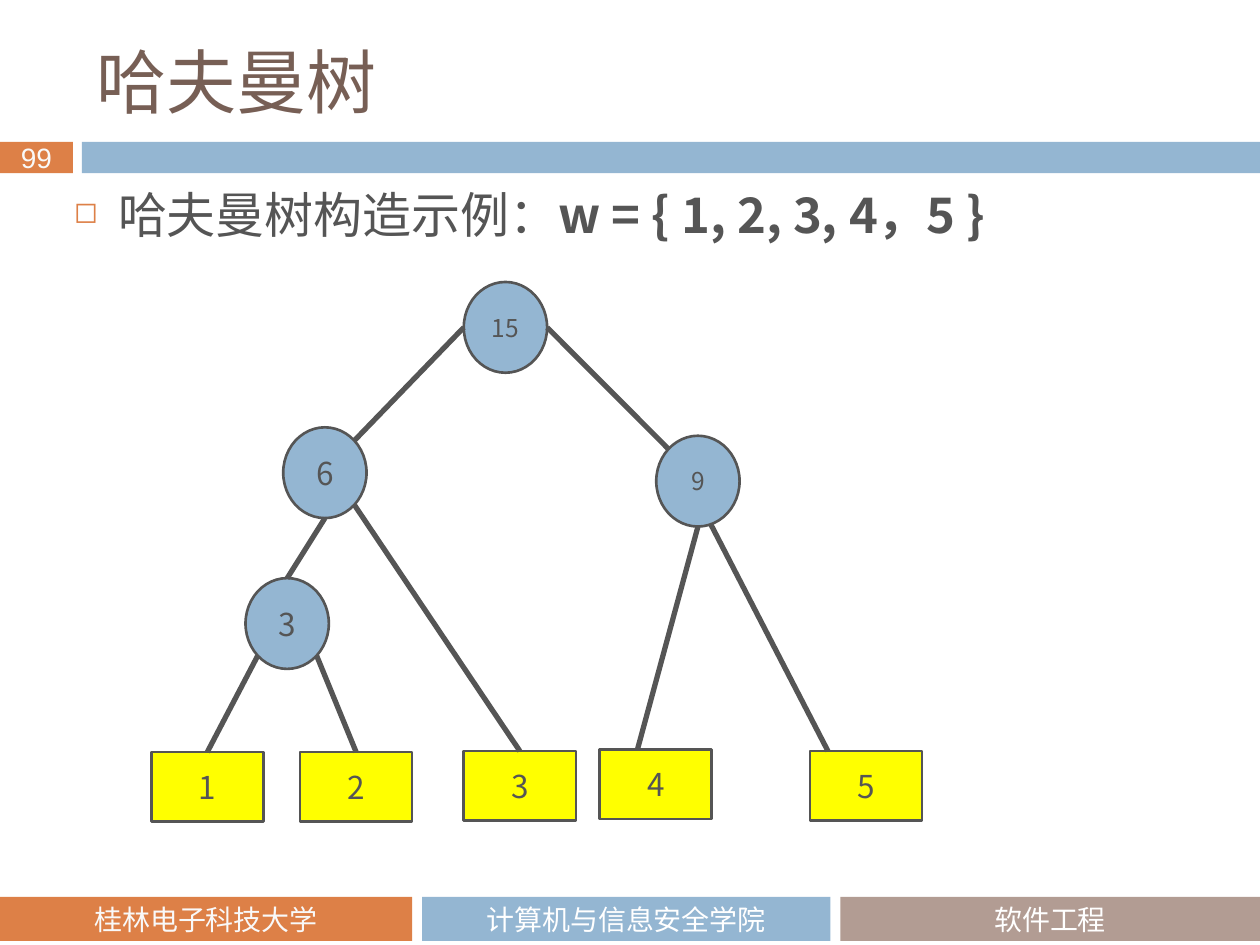
from dataclasses import dataclass
from math import cos, radians, sin

from lxml.etree import SubElement
from pptx import Presentation
from pptx.dml.color import RGBColor
from pptx.enum.shapes import MSO_CONNECTOR, MSO_SHAPE
from pptx.enum.text import MSO_ANCHOR, PP_ALIGN
from pptx.oxml.ns import qn
from pptx.util import Cm, Pt


@dataclass(frozen=True)
class Theme:
    orange: str = "DD8047"
    blue: str = "94B6D2"
    taupe: str = "B29C93"
    brown: str = "775F55"
    ink: str = "555555"
    yellow: str = "FFFF00"
    white: str = "FFFFFF"
    pale: str = "F9F9F9"
    title_size: int = 40
    body_size: int = 28
    node_size: int = 18
    small_node_size: int = 14
    bar_size: int = 16
    title_font: str = "Noto Sans CJK JP"
    body_font: str = "Noto Sans CJK SC"
    footer_font: str = "Calibri"
    number_font: str = "Arial"


THEME = Theme()
CIRCLE_SIZE = (1.68, 1.83)
LEAF_SIZE = (2.26, 1.4)


def add_span(para, text, font, size, color, bold=False):
    span = para.add_run()
    span.text = text
    span.font.name = font
    span.font.size = Pt(size)
    span.font.bold = bold
    span.font.color.rgb = RGBColor.from_string(color)
    if font.startswith("Noto"):
        SubElement(span.font._element, qn("a:ea"), typeface=font)


def add_block(page, kind, box, fill, line=None):
    block = page.shapes.add_shape(kind, *(Cm(value) for value in box))
    block.shadow.inherit = False
    block.fill.solid()
    block.fill.fore_color.rgb = RGBColor.from_string(fill)
    if line:
        block.line.color.rgb = RGBColor.from_string(line)
        block.line.width = Pt(1.5)
    else:
        block.line.fill.background()
    return block


def add_label(block, text, font, size, color):
    frame = block.text_frame
    frame.margin_left = frame.margin_right = 0
    frame.margin_top = frame.margin_bottom = 0
    frame.vertical_anchor = MSO_ANCHOR.MIDDLE
    frame.word_wrap = True
    para = frame.paragraphs[0]
    para.alignment = PP_ALIGN.CENTER
    add_span(para, text, font, size, color)


def add_header_band(page, left, top, width, height):
    number_width, gap = 1.47, 0.18
    number = add_block(page, MSO_SHAPE.RECTANGLE,
                       (left, top, number_width, height), THEME.orange)
    add_label(number, "99", THEME.number_font, THEME.bar_size, THEME.pale)
    start = number_width + gap
    add_block(page, MSO_SHAPE.RECTANGLE,
              (left + start, top, width - start, height), THEME.blue)


def add_footer(page, left, top, width, height):
    gap = 0.2
    parts = [("桂林电子科技大学", 8.31, THEME.orange, THEME.pale),
             ("计算机与信息安全学院", 8.23, THEME.blue, THEME.white),
             ("软件工程", width - 8.31 - 8.23 - 2 * gap, THEME.taupe, THEME.white)]
    for text, part_width, fill, color in parts:
        part = add_block(page, MSO_SHAPE.RECTANGLE,
                         (left, top, part_width, height), fill)
        add_label(part, text, THEME.footer_font, THEME.bar_size, color)
        left += part_width + gap


def add_title(page, left, top, width, height):
    title = page.shapes.title
    title.left, title.top, title.width, title.height = (
        Cm(left), Cm(top), Cm(width), Cm(height))
    title.text_frame.vertical_anchor = MSO_ANCHOR.MIDDLE
    para = title.text_frame.paragraphs[0]
    para.alignment = PP_ALIGN.LEFT
    add_span(para, "哈夫曼树", THEME.title_font, THEME.title_size, THEME.brown)


def add_example(page, left, top, width, height):
    box = page.shapes.add_textbox(Cm(left), Cm(top), Cm(width), Cm(height))
    box.text_frame.word_wrap = True
    para = box.text_frame.paragraphs[0]
    para.line_spacing = Pt(30)
    # Hollow square bullet with a hanging indent
    properties = para._p.get_or_add_pPr()
    properties.set("marL", str(Cm(0.89)))
    properties.set("indent", str(-Cm(0.89)))
    bullet_color = SubElement(properties, qn("a:buClr"))
    SubElement(bullet_color, qn("a:srgbClr"), val=THEME.orange)
    SubElement(properties, qn("a:buSzPct"), val="60000")
    SubElement(properties, qn("a:buChar"), char="◻")
    for text, bold in [("哈夫曼树构造示例：", False), ("w = { 1, 2, 3, 4，5 }", True)]:
        add_span(para, text, THEME.body_font, THEME.body_size, THEME.ink, bold)


def rim_point(center, angle):
    """Point on a circle node's outline, clockwise from the right."""
    turn = radians(angle)
    return (center[0] + CIRCLE_SIZE[0] / 2 * cos(turn),
            center[1] + CIRCLE_SIZE[1] / 2 * sin(turn))


def add_edge(page, start, end):
    edge = page.shapes.add_connector(
        MSO_CONNECTOR.STRAIGHT, *(Cm(value) for value in (*start, *end)))
    edge.line.color.rgb = RGBColor.from_string(THEME.ink)
    edge.line.width = Pt(3)
    SubElement(edge._element.spPr, qn("a:effectLst"))
    return edge


def add_node(page, kind, center, size, fill, text, text_size):
    width, height = size
    box = (center[0] - width / 2, center[1] - height / 2, width, height)
    node = add_block(page, kind, box, fill, THEME.ink)
    add_label(node, text, THEME.body_font, text_size, THEME.ink)
    return node


def add_tree(page, left, top):
    # Weight, centre within the region, text size
    circles = [("15", 7.14, 0.91, THEME.small_node_size),
               ("6", 3.5, 3.84, THEME.node_size),
               ("9", 11.02, 4.01, THEME.small_node_size),
               ("3", 2.74, 6.88, THEME.node_size)]
    leaves = [("1", 1.13, 10.17), ("2", 4.13, 10.17), ("3", 7.43, 10.15),
              ("4", 10.17, 10.12), ("5", 14.41, 10.15)]
    circle_centers, leaf_centers, leaf_nodes = {}, {}, {}
    for text, x, y, size in circles:
        circle_centers[text] = (left + x, top + y)
        add_node(page, MSO_SHAPE.OVAL, circle_centers[text], CIRCLE_SIZE,
                 THEME.blue, text, size)
    for text, x, y in leaves:
        leaf_centers[text] = (left + x, top + y)
        leaf_nodes[text] = add_node(page, MSO_SHAPE.RECTANGLE, leaf_centers[text],
                                    LEAF_SIZE, THEME.yellow, text, THEME.node_size)

    # Circle to circle: parent, leaving angle, child, arriving angle
    for parent, leaving, child, arriving in [
            ("15", 180, "6", -45), ("15", 0, "9", -135), ("6", 90, "3", -90)]:
        add_edge(page, rim_point(circle_centers[parent], leaving),
                 rim_point(circle_centers[child], arriving))

    # Circle to leaf: parent, leaving angle, leaf, shift from the top middle
    for parent, leaving, leaf, shift in [
            ("3", 135, "1", 0), ("3", 45, "2", 0), ("6", 45, "3", 0),
            ("9", 90, "4", -0.37), ("9", 72, "5", -0.77)]:
        x, y = leaf_centers[leaf]
        edge = add_edge(page, rim_point(circle_centers[parent], leaving),
                        (x + shift, y - LEAF_SIZE[1] / 2))
        if shift == 0:
            edge.end_connect(leaf_nodes[leaf], 0)


def main():
    deck = Presentation()
    deck.slide_width, deck.slide_height = Cm(25.4), Cm(19.05)
    page = deck.slides.add_slide(deck.slide_layouts[5])
    add_header_band(page, 0, 2.86, 25.4, 0.63)
    add_footer(page, 0, 18.08, 25.4, 0.89)
    add_title(page, 1.7, 0.64, 22.66, 1.98)
    add_example(page, 1.24, 3.73, 22.66, 1.47)
    add_tree(page, 3.05, 5.69)
    deck.save("out.pptx")


if __name__ == "__main__":
    main()
